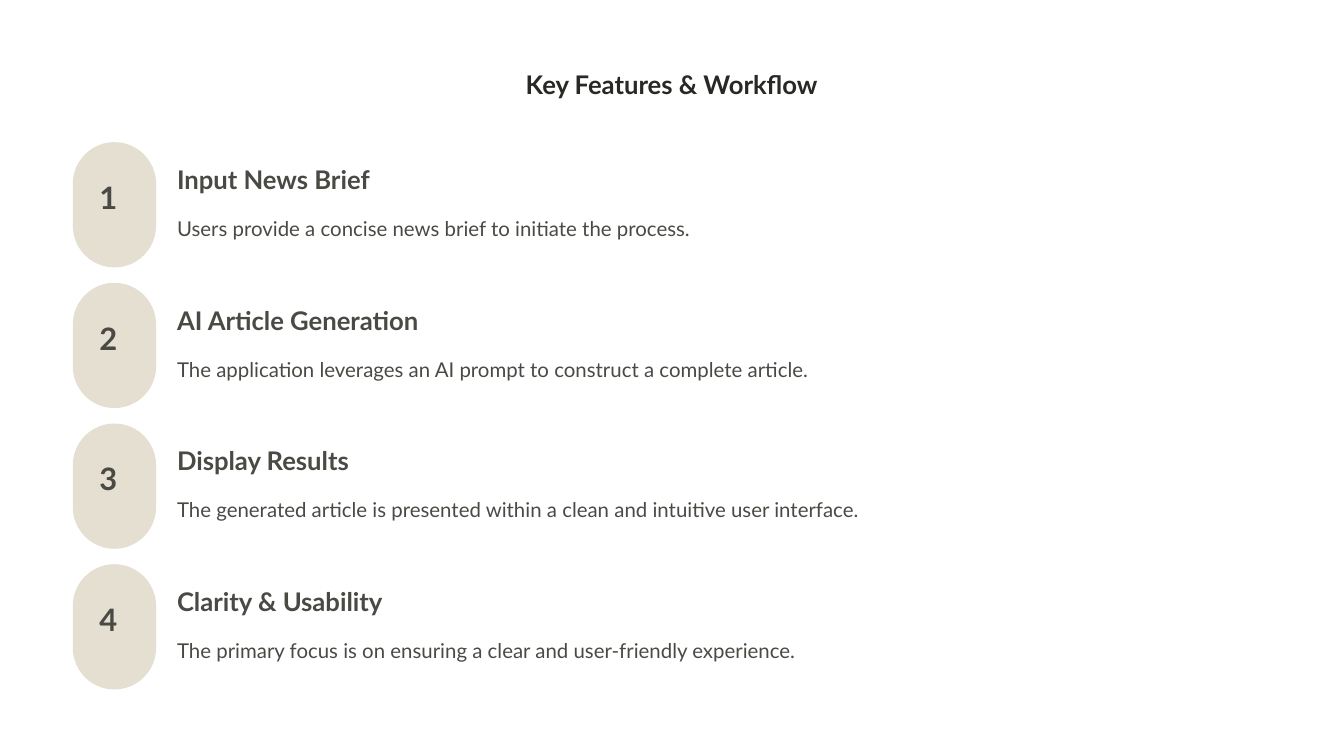
"""Builds the Key Features & Workflow slide."""
from dataclasses import dataclass

import pptx
import pptx.util
import pptx.dml.color
import pptx.enum.shapes
import pptx.enum.text

PX = pptx.util.Inches(1) // 120
ROW_PITCH = 201
TITLE = "Key Features & Workflow"
STEPS = [
    ("Input News Brief",
     "Users provide a concise news brief to initiate the process."),
    ("AI Article Generation",
     "The application leverages an AI prompt to construct a complete article."),
    ("Display Results",
     "The generated article is presented within a clean and intuitive user interface."),
    ("Clarity & Usability",
     "The primary focus is on ensuring a clear and user-friendly experience."),
]


@dataclass(frozen=True)
class Theme:
    """Colours, font and type sizes of the slide."""
    font: str = "Lato"
    title: str = "282824"
    text: str = "4A4A45"
    pill: str = "E5DFD2"
    heading_size: float = 22
    number_size: float = 26.5
    body_size: float = 17.5


THEME = Theme()


def scaled(*lengths):
    """Turn px lengths into EMU."""
    return [length * PX for length in lengths]


def rgb(value):
    """Return a colour object for a hex value."""
    return pptx.dml.color.RGBColor.from_string(value)


def write_text(box, text, *, size, leading, color=THEME.text, bold=False,
               align=pptx.enum.text.PP_ALIGN.LEFT):
    """Put one formatted line of text into a box without insets."""
    frame = box.text_frame
    frame.margin_left = frame.margin_top = 0
    frame.margin_right = frame.margin_bottom = 0
    frame.word_wrap = False
    frame.auto_size = pptx.enum.text.MSO_AUTO_SIZE.NONE
    frame.vertical_anchor = pptx.enum.text.MSO_ANCHOR.TOP
    para = frame.paragraphs[0]
    para.alignment = align
    para.line_spacing = pptx.util.Pt(leading)
    para.space_before = pptx.util.Pt(0)
    span = para.add_run()
    span.text = text
    span.font.name = THEME.font
    span.font.size = pptx.util.Pt(size)
    span.font.bold = bold
    span.font.color.rgb = rgb(color)


def add_title(page, text):
    """Place the slide title in its placeholder."""
    box = page.shapes.title
    box.left, box.top, box.width, box.height = scaled(746, 96, 427, 47)
    write_text(box, text, size=THEME.heading_size, leading=27.5, bold=True,
               color=THEME.title, align=pptx.enum.text.PP_ALIGN.CENTER)


def add_label(page, left, top, width, height, text, **style):
    """Add a text box holding one line."""
    box = page.shapes.add_textbox(*scaled(left, top, width, height))
    write_text(box, text, **style)


def add_pill(page, top):
    """Add the fully rounded shape behind a step number."""
    pill = page.shapes.add_shape(
        pptx.enum.shapes.MSO_SHAPE.ROUNDED_RECTANGLE, *scaled(104, top, 119, 179))
    pill.adjustments[0] = 0.5
    pill.shadow.inherit = False
    pill.fill.solid()
    pill.fill.fore_color.rgb = rgb(THEME.pill)
    pill.line.fill.background()


def add_step(page, number, top, heading, description):
    """Add one numbered step with its heading and description."""
    add_pill(page, top)
    add_label(page, 142, top + 61, 44, 56, str(number),
              size=THEME.number_size, leading=26.5, bold=True)
    add_label(page, 253, top + 29, 372, 47, heading,
              size=THEME.heading_size, leading=27.5, bold=True)
    add_label(page, 253, top + 93, 1562, 48, description,
              size=THEME.body_size, leading=28.5)


def main():
    """Build and save the deck."""
    deck = pptx.Presentation()
    deck.slide_width, deck.slide_height = scaled(1920, 1080)
    page = deck.slides.add_slide(deck.slide_layouts.get_by_name("Title Only"))
    page.background.fill.solid()
    page.background.fill.fore_color.rgb = rgb("FFFFFF")
    add_title(page, TITLE)
    for index, (heading, description) in enumerate(STEPS):
        add_step(page, index + 1, 203 + index * ROW_PITCH, heading, description)
    deck.save("out.pptx")


if __name__ == "__main__":
    main()
